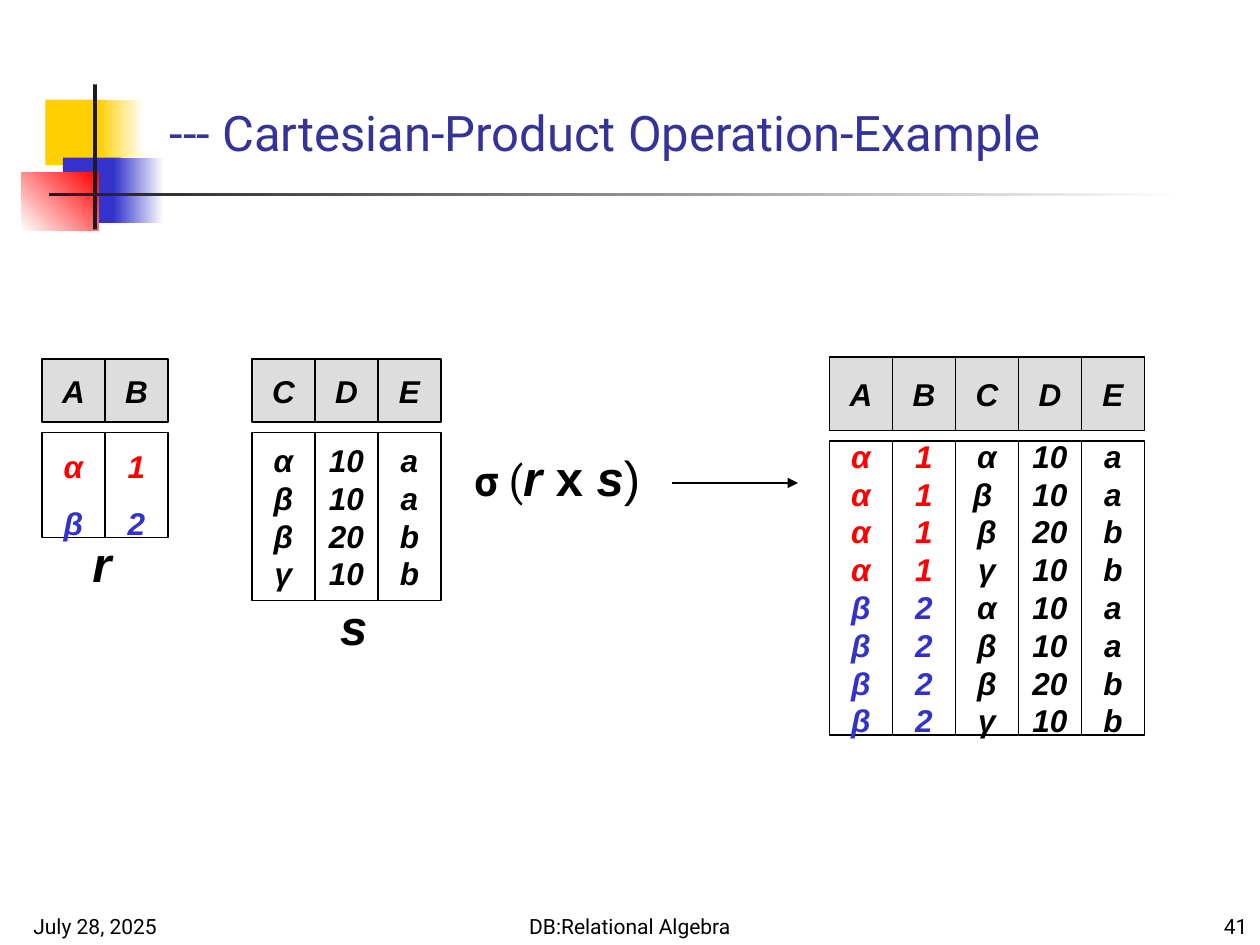
from pptx import Presentation
from pptx.dml.color import RGBColor
from pptx.enum.shapes import MSO_CONNECTOR, MSO_SHAPE
from pptx.enum.text import MSO_ANCHOR, PP_ALIGN
from pptx.oxml.ns import qn
from pptx.util import Inches, Pt
from lxml.etree import SubElement
from dataclasses import dataclass


@dataclass(frozen=True)
class Theme:
    black: str = "000000"
    white: str = "FFFFFF"
    title: str = "333399"
    header: str = "DDDDDD"
    ink: str = "1C1C1C"
    yellow: str = "FFCF01"
    blue: str = "3333CC"
    red: str = "FF0000"
    heading_font: str = "Roboto"
    cell_font: str = "Arial"
    footer_size: int = 12
    cell_size: int = 18
    sigma_size: int = 24
    large_size: int = 28
    line_width: float = 0.75


THEME = Theme()
UNIT = 1 / 12
CELL = 6


def grid(*units):
    return [Inches(unit * UNIT) for unit in units]


def rgb(color):
    return RGBColor.from_string(color)


def apply(target, values):
    for name, value in values.items():
        setattr(target, name, value)


def add_run(paragraph, text, color=THEME.black, **font):
    run = paragraph.add_run()
    run.text = text
    apply(run.font, {name: Pt(value) if name == "size" else value
                     for name, value in font.items()})
    run.font.color.rgb = rgb(color)


def add_block(slide, box, fill, fade_to=None, angle=0):
    block = slide.shapes.add_shape(MSO_SHAPE.RECTANGLE, *box)
    block.shadow.inherit = False
    block.line.fill.background()
    if fade_to is None:
        block.fill.solid()
        block.fill.fore_color.rgb = rgb(fill)
    else:
        block.fill.gradient()
        block.fill.gradient_angle = angle
        for stop, color in zip(block.fill.gradient_stops, (fill, fade_to)):
            stop.color.rgb = rgb(color)
    return block


def add_text(slide, box, runs, align=PP_ALIGN.LEFT,
             anchor=MSO_ANCHOR.BOTTOM, wrap=True):
    frame = slide.shapes.add_textbox(*box).text_frame
    apply(frame, {"word_wrap": wrap, "vertical_anchor": anchor})
    paragraph = frame.paragraphs[0]
    paragraph.alignment = align
    for text, font in runs:
        add_run(paragraph, text, **font)


def add_cell(slide, box, entries, fill, spacing):
    cell = add_block(slide, box, fill)
    cell.line.color.rgb = rgb(THEME.black)
    cell.line.width = Pt(THEME.line_width)
    frame = cell.text_frame
    apply(frame, {"word_wrap": False, "vertical_anchor": MSO_ANCHOR.MIDDLE})
    for index, (text, color) in enumerate(entries):
        paragraph = frame.add_paragraph() if index else frame.paragraphs[0]
        apply(paragraph, {"alignment": PP_ALIGN.CENTER, "line_spacing": spacing})
        add_run(paragraph, text, color, name=THEME.cell_font,
                size=THEME.cell_size, bold=True, italic=True)


def add_relation(slide, left, header, body, columns, spacing=None):
    header_top, header_height = header
    body_top, body_height = body
    for index, (attribute, values) in enumerate(columns):
        x = left + index * CELL
        add_cell(slide, grid(x, header_top, CELL, header_height),
                 [(attribute, THEME.black)], THEME.header, None)
        add_cell(slide, grid(x, body_top, CELL, body_height),
                 values, THEME.white, spacing)


def add_arrow(slide, start, end):
    arrow = slide.shapes.add_connector(
        MSO_CONNECTOR.STRAIGHT, *grid(*start), *grid(*end))
    arrow.line.color.rgb = rgb(THEME.black)
    arrow.line.width = Pt(THEME.line_width)
    SubElement(arrow.line._get_or_add_ln(), qn("a:tailEnd"), type="triangle")
    SubElement(arrow._element.spPr, qn("a:effectLst"))


def add_decoration(slide):
    for box, *fill in (
        ((0.36, 0.79, 0.48, 0.52), THEME.yellow),
        ((0.78, 0.79, 0.36, 0.52), THEME.yellow, THEME.white),
        ((0.5, 1.25, 0.46, 0.52), THEME.blue),
        ((0.9, 1.25, 0.4, 0.52), THEME.blue, THEME.white),
        ((0.17, 1.37, 0.61, 0.46), THEME.white, THEME.red, 45),
        ((0.74, 0.67, 0.03, 1.15), THEME.ink),
        ((0.39, 1.53, 9, 0.03), THEME.ink, THEME.white),
    ):
        add_block(slide, [Inches(length) for length in box], *fill)


def add_footer(slide):
    font = {"name": THEME.heading_font, "size": THEME.footer_size}
    for left, width, text, align in (
        (2, 25, "July 28, 2025", PP_ALIGN.LEFT),
        (41, 38, "DB:Relational Algebra", PP_ALIGN.CENTER),
        (95, 25, "41", PP_ALIGN.RIGHT),
    ):
        add_text(slide, grid(left, 85, width, 5), [(text, font)], align)


def add_formula(slide):
    sigma = {"name": THEME.heading_font, "size": THEME.sigma_size}
    symbol = {"name": THEME.cell_font, "size": THEME.large_size}
    bold = {**symbol, "bold": True}
    name = {**bold, "italic": True}
    add_text(slide, grid(44, 42, 20, 6), [
        ("σ", {**sigma, "bold": True}), (" (", sigma), ("r", name),
        (" x ", bold), ("s", name), (")", symbol),
    ], anchor=MSO_ANCHOR.TOP)
    for label, box in (("r", (7.6, 50.2, 4.2, 6.8)), ("s", (31.2, 56.2, 5, 6.8))):
        add_text(slide, grid(*box), [(label, name)], PP_ALIGN.CENTER,
                 MSO_ANCHOR.MIDDLE, wrap=False)


def plain(values):
    return [(value, THEME.black) for value in values]


def main():
    deck = Presentation()
    apply(deck, {"slide_width": Inches(10), "slide_height": Inches(7.5)})
    slide = deck.slides.add_slide(deck.slide_layouts[6])
    add_decoration(slide)
    add_footer(slide)
    add_text(slide, grid(15, 9.4, 100.8, 6.6), [
        ("--- Cartesian-Product Operation-Example",
         {"name": THEME.heading_font, "size": THEME.large_size,
          "color": THEME.title}),
    ])
    add_formula(slide)

    r = [("A", [("α", THEME.red), ("β", THEME.blue)]),
         ("B", [("1", THEME.red), ("2", THEME.blue)])]
    s = [("C", plain("αββγ")),
         ("D", plain(["10", "10", "20", "10"])),
         ("E", plain("aabb"))]
    product = [(attribute, [value for value in values for _ in range(4)])
               for attribute, values in r]
    product += [(attribute, values * 2) for attribute, values in s]
    product[2][1][1] = ("β ", THEME.black)

    add_relation(slide, 4, (34.2, 6), (41.2, 10), r, spacing=1.5)
    add_relation(slide, 24, (34.2, 6), (41.2, 16), s)
    add_relation(slide, 79, (34, 7), (42, 28), product)
    add_arrow(slide, (64, 46), (76, 46))
    deck.save("out.pptx")


if __name__ == "__main__":
    main()
